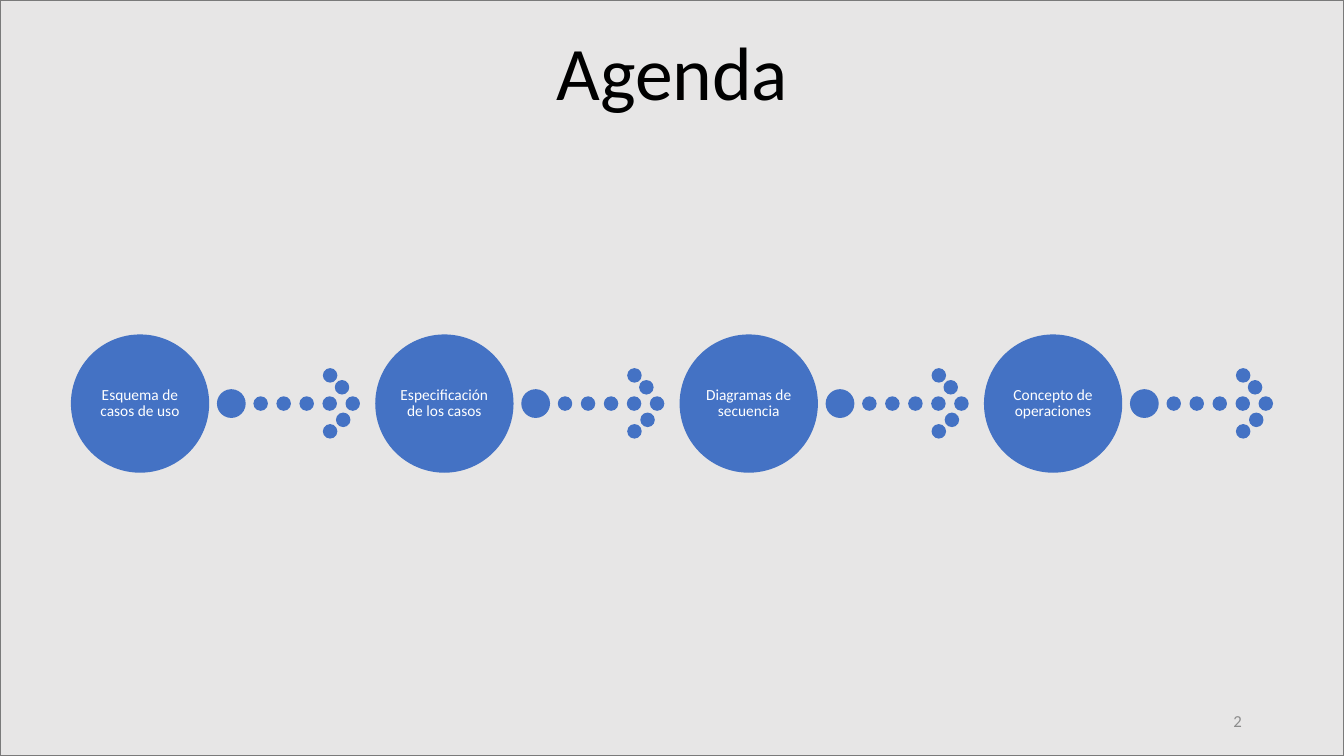
from dataclasses import dataclass

from pptx import Presentation
from pptx.dml.color import RGBColor
from pptx.enum.shapes import MSO_SHAPE
from pptx.enum.text import MSO_ANCHOR, PP_ALIGN
from pptx.shapes.autoshape import Shape
from pptx.slide import Slide
from pptx.util import Cm, Pt

RECT = MSO_SHAPE.RECTANGLE
OVAL = MSO_SHAPE.OVAL
MIDDLE = MSO_ANCHOR.MIDDLE
TOP = MSO_ANCHOR.TOP
CENTER = PP_ALIGN.CENTER
RIGHT = PP_ALIGN.RIGHT

BLUE = RGBColor(0x44, 0x72, 0xC4)
PALE = RGBColor(0xE7, 0xE6, 0xE6)
EDGE = RGBColor(0x7A, 0x7A, 0x7A)
GRAY = RGBColor(0x8C, 0x8C, 0x8C)
BLACK = RGBColor(0, 0, 0)
WHITE = RGBColor(0xFF, 0xFF, 0xFF)

FONT = "Calibri"
WIDTH, HEIGHT = 33.87, 19.05
START, PITCH, AXIS = 3.53, 7.67, 10.17
TOPICS = (
    "Esquema de casos de uso",
    "Especificación de los casos",
    "Diagramas de secuencia",
    "Concepto de operaciones",
)


@dataclass(frozen=True)
class Dot:
    x: float
    y: float = 0
    size: float = 0.33


@dataclass(frozen=True)
class Label:
    text: str
    left: float
    top: float
    width: float
    height: float
    size: int
    color: RGBColor
    align: PP_ALIGN
    anchor: MSO_ANCHOR


DISC = Dot(0, size=3.45)
TRAIL = [Dot(2.3, size=0.69)] + [Dot(3.04 + 0.58 * i) for i in range(5)]
HEAD = [Dot(4.79, -0.71), Dot(5.09, -0.41), Dot(5.12, 0.41), Dot(4.79, 0.7)]
LABELS = (
    Label("Agenda", 10.8, 0.51, 12.29, 2.57, 54, BLACK, CENTER, TOP),
    Label("2", 23.93, 17.65, 7.62, 1.02, 12, GRAY, RIGHT, MIDDLE),
)


def paint(shape: Shape, fill: RGBColor, line: RGBColor) -> None:
    shape.shadow.inherit = False
    shape.fill.solid()
    shape.fill.fore_color.rgb = fill
    shape.line.color.rgb = line
    shape.line.width = Pt(1)


def write(shape: Shape, text: str, size: int, color: RGBColor,
          align: PP_ALIGN, anchor: MSO_ANCHOR) -> None:
    frame = shape.text_frame
    frame.word_wrap = True
    frame.vertical_anchor = anchor
    para = frame.paragraphs[0]
    para.text = text
    para.alignment = align
    para.font.name = FONT
    para.font.size = Pt(size)
    para.font.color.rgb = color


def add_dot(slide: Slide, dot: Dot, x: float) -> Shape:
    left, top = x + dot.x - dot.size / 2, AXIS + dot.y - dot.size / 2
    shape = slide.shapes.add_shape(
        OVAL, Cm(left), Cm(top), Cm(dot.size), Cm(dot.size))
    paint(shape, BLUE, BLUE)
    return shape


def add_topic(slide: Slide, text: str, x: float) -> None:
    for dot in TRAIL + HEAD:
        add_dot(slide, dot, x)
    disc = add_dot(slide, DISC, x)
    write(disc, text, 11, WHITE, CENTER, MIDDLE)
    frame = disc.text_frame
    frame.margin_left = frame.margin_right = Cm(0.05)
    frame.margin_top = frame.margin_bottom = Cm(0.05)
    frame.paragraphs[0].line_spacing = 0.9


def add_label(slide: Slide, label: Label) -> None:
    box = slide.shapes.add_textbox(
        Cm(label.left), Cm(label.top), Cm(label.width), Cm(label.height))
    write(box, label.text, label.size, label.color, label.align, label.anchor)


def main() -> None:
    deck = Presentation()
    deck.slide_width, deck.slide_height = Cm(WIDTH), Cm(HEIGHT)
    slide = deck.slides.add_slide(deck.slide_layouts[6])
    back = slide.shapes.add_shape(RECT, 0, 0, Cm(WIDTH), Cm(HEIGHT))
    paint(back, PALE, EDGE)
    for i, text in enumerate(TOPICS):
        add_topic(slide, text, START + i * PITCH)
    for label in LABELS:
        add_label(slide, label)
    deck.save("out.pptx")


if __name__ == "__main__":
    main()
